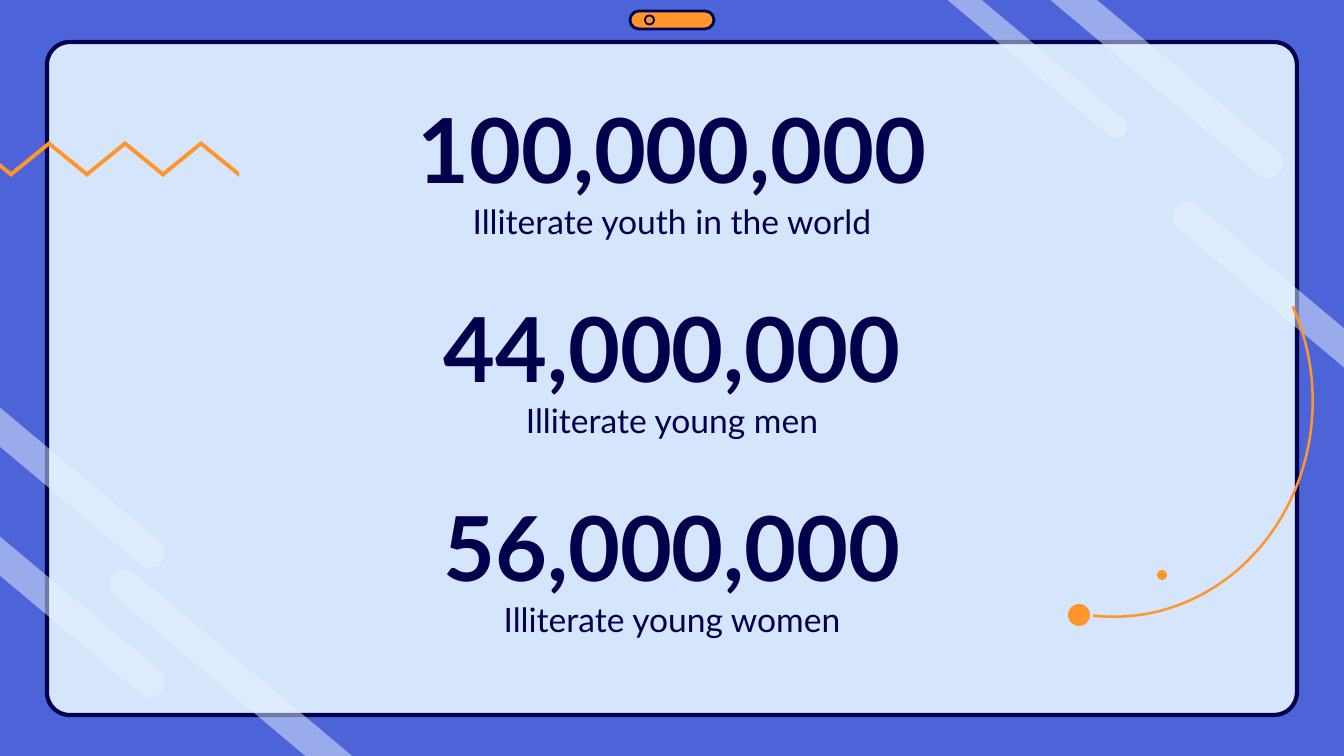
from collections import namedtuple
from math import cos, radians, sin

from lxml import etree
from pptx import Presentation
from pptx import util as u
from pptx.dml.color import RGBColor
from pptx.enum import shapes, text
from pptx.oxml.ns import qn

PX = 914400 / 134.4  # EMU in one px
Box = namedtuple("Box", "x y w h")


class Theme:
    sky, panel, navy = "4C64D8", "D5E6FC", "00004D"
    orange, gleam = "FF952B", "E9F3FF"
    gleam_alpha = 50
    font = "Lato"
    number_size, caption_size = 48, 18
    panel_line, pill_line, ring_line = 2.25, 1.5, 1


def emu(px):
    return round(px * PX)


def paint(sp, fill=None, line=None, weight=1, alpha=None):
    sp.shadow.inherit = False
    if fill:
        sp.fill.solid()
        sp.fill.fore_color.rgb = RGBColor.from_string(fill)
    else:
        sp.fill.background()
    if alpha:
        color = sp._element.spPr.find(qn("a:solidFill"))[0]
        etree.SubElement(color, qn("a:alpha")).set("val", str(alpha * 1000))
    if line:
        sp.line.color.rgb = RGBColor.from_string(line)
        sp.line.width = u.Pt(weight)
    else:
        sp.line.fill.background()


def add_preset(slide, kind, box, **style):
    sp = slide.shapes.add_shape(kind, *map(emu, box))
    paint(sp, **style)
    return sp


def add_outline(slide, points, **style):
    points = [(emu(x), emu(y)) for x, y in points]
    builder = slide.shapes.build_freeform(*points[0])
    builder.add_line_segments(points[1:], close=True)
    paint(builder.convert_to_shape(), **style)


def add_label(slide, box, words, size, bold, anchor):
    tf = slide.shapes.add_textbox(*map(emu, box)).text_frame
    frame_format = {"word_wrap": True, "vertical_anchor": anchor,
                    "margin_top": 0, "margin_bottom": 0}
    for name, value in frame_format.items():
        setattr(tf, name, value)
    p = tf.paragraphs[0]
    p.alignment = text.PP_ALIGN.CENTER
    r = p.add_run()
    r.text = words
    for name, value in {"name": Theme.font, "size": u.Pt(size), "bold": bold}.items():
        setattr(r.font, name, value)
    r.font.color.rgb = RGBColor.from_string(Theme.navy)


def draw_panel(slide, box):
    sp = add_preset(slide, shapes.MSO_SHAPE.ROUNDED_RECTANGLE, box, fill=Theme.panel,
                    line=Theme.navy, weight=Theme.panel_line)
    sp.adjustments[0] = 0.034


def draw_stripes(slide, box):
    # Edge of the box: axis, position, direction from the round end
    edges = {"top": (1, box.y, 220), "left": (0, box.x, 220),
             "bottom": (1, box.y + box.h, 40), "right": (0, box.x + box.w, 40)}
    # Centre of the round end, radius, edge that cuts the stripe
    stripes = [(1268, 163, 15, "top"), (1116, 127, 11, "top"), (125, 585, 15, "bottom"),
               (150, 682, 15, "left"), (150, 553, 15, "left"), (1188, 217, 15, "right")]
    for cx, cy, radius, edge in stripes:
        axis, limit, angle = edges[edge]
        way = cos(radians(angle)), sin(radians(angle))
        cap = [(box.x + cx + radius * cos(radians(angle + turn)),
                box.y + cy + radius * sin(radians(angle + turn)))
               for turn in range(90, 271, 10)]
        tails = []
        for point in (cap[-1], cap[0]):
            reach = (limit - point[axis]) / way[axis]
            tails.append((point[0] + reach * way[0], point[1] + reach * way[1]))
        add_outline(slide, cap + tails, fill=Theme.gleam, alpha=Theme.gleam_alpha)


def draw_pill(slide, box):
    sp = add_preset(slide, shapes.MSO_SHAPE.ROUNDED_RECTANGLE, box, fill=Theme.orange,
                    line=Theme.navy, weight=Theme.pill_line)
    sp.adjustments[0] = 0.5
    size = box.h // 2
    add_preset(slide, shapes.MSO_SHAPE.OVAL,
               Box(box.x + 15, box.y + (box.h - size) / 2, size, size),
               line=Theme.navy, weight=Theme.ring_line)


def draw_stats(slide, box):
    stats = [("100,000,000", "Illiterate youth in the world", 678),
             ("44,000,000", "Illiterate young men", 604),
             ("56,000,000", "Illiterate young women", 604)]
    pitch, number_h, caption_gap, caption_w, caption_h = 199, 86, 96, 604, 70
    middle = box.x + box.w / 2
    for i, (number, caption, number_w) in enumerate(stats):
        top = box.y + i * pitch
        add_label(slide, Box(middle - number_w / 2, top, number_w, number_h),
                  number, Theme.number_size, True, text.MSO_ANCHOR.MIDDLE)
        add_label(slide, Box(middle - caption_w / 2, top + caption_gap, caption_w, caption_h),
                  caption, Theme.caption_size, False, text.MSO_ANCHOR.TOP)


def draw_zigzag(slide, box):
    turns, thick = 7, 5
    upper = [(box.x + i * box.w / turns, box.y + i % 2 * (box.h - thick))
             for i in range(turns + 1)]
    lower = [(x, y + thick) for x, y in reversed(upper)]
    add_outline(slide, upper + lower, fill=Theme.orange)


def draw_orbit(slide, box):
    # Arc: a thin band on an ellipse whose lower right touches the box
    rx, ry, thick = 200, 217, 2.5
    cx, cy = box.x + box.w - rx, box.y + box.h - ry
    outer, inner = [
        [(cx + (rx - inset) * cos(radians(a)), cy + (ry - inset) * sin(radians(a)))
         for a in range(-26, 97, 2)] for inset in (0, thick)]
    add_outline(slide, outer + inner[::-1], fill=Theme.orange)
    # Dots
    for x, y, size in [(89, 266, 10), (0, 300, 22)]:
        add_preset(slide, shapes.MSO_SHAPE.OVAL, Box(box.x + x, box.y + y, size, size),
                   fill=Theme.orange)


def main():
    page = Box(0, 0, 1344, 756)
    prs = Presentation()
    prs.slide_width, prs.slide_height = emu(page.w), emu(page.h)
    slide = prs.slides.add_slide(prs.slide_layouts[6])
    fill = slide.background.fill
    fill.solid()
    fill.fore_color.rgb = RGBColor.from_string(Theme.sky)

    draw_panel(slide, Box(47, 42, 1250, 673))
    draw_stripes(slide, page)
    draw_pill(slide, Box(630, 11, 84, 18))
    draw_stats(slide, Box(333, 105, 678, 564))
    draw_zigzag(slide, Box(-27, 141, 266, 36))
    draw_orbit(slide, Box(1068, 304, 246, 314))
    prs.save("out.pptx")


if __name__ == "__main__":
    main()
